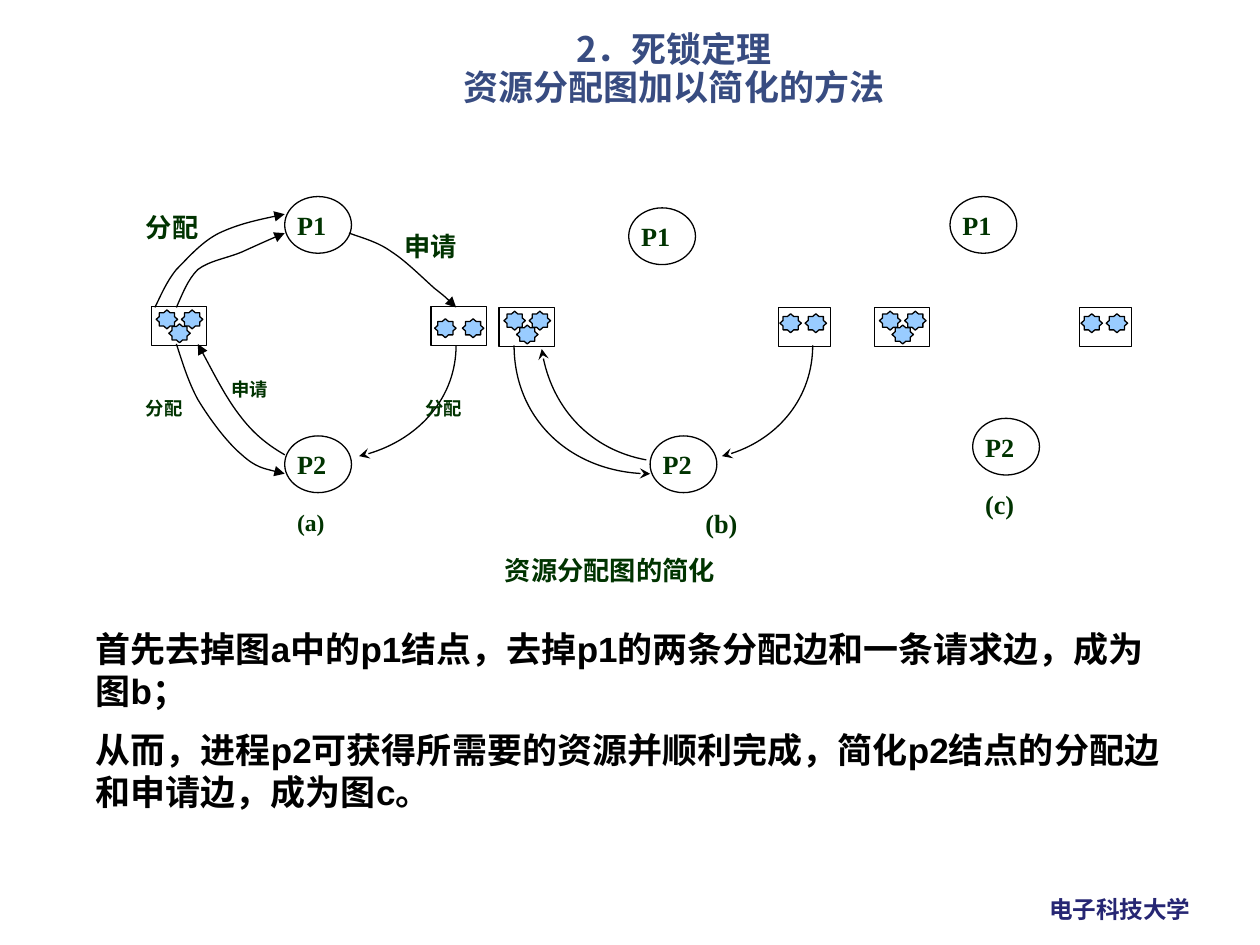
"""Build a slide that shows how a resource allocation graph is reduced."""
from dataclasses import dataclass

from lxml import etree
from pptx import Presentation
from pptx.dml.color import RGBColor
from pptx.enum.shapes import MSO_SHAPE
from pptx.enum.text import PP_ALIGN
from pptx.oxml.ns import qn
from pptx.util import Inches, Pt

RECTANGLE, OVAL, STAR = MSO_SHAPE.RECTANGLE, MSO_SHAPE.OVAL, MSO_SHAPE.STAR_8_POINT
LEFT, CENTER, JUSTIFY = PP_ALIGN.LEFT, PP_ALIGN.CENTER, PP_ALIGN.JUSTIFY


@dataclass(frozen=True)
class Theme:
    ink: str = "000000"
    label: str = "003300"
    title: str = "384C81"
    footer: str = "262673"
    unit: str = "99CCFF"
    serif: str = "Times New Roman"
    sans: str = "Arial"
    chinese: str = "Noto Sans CJK SC"
    heading_size: float = 20
    label_size: float = 15
    small_size: float = 10.5
    note_size: float = 13.5
    line_width: float = 0.75


class GraphSlide:
    def __init__(self, slide, theme):
        self.slide = slide
        self.theme = theme

    def finish(self, shape, fill=None):
        shape.shadow.inherit = False
        if fill:
            shape.fill.solid()
            shape.fill.fore_color.rgb = RGBColor.from_string(fill)
        else:
            shape.fill.background()
        shape.line.color.rgb = RGBColor.from_string(self.theme.ink)
        shape.line.width = Pt(self.theme.line_width)

    def shape(self, kind, x, y, width, height, fill=None):
        shape = self.slide.shapes.add_shape(
            kind, Inches(x), Inches(y), Inches(width), Inches(height))
        self.finish(shape, fill)
        return shape

    def text(self, x, y, width, height, paragraphs, size, color, font,
             align=LEFT, spacing=None, before=0, wrap=True):
        box = self.slide.shapes.add_textbox(
            Inches(x), Inches(y), Inches(width), Inches(height))
        frame = box.text_frame
        frame.word_wrap = wrap
        for index, lines in enumerate(paragraphs):
            paragraph = frame.add_paragraph() if index else frame.paragraphs[0]
            paragraph.alignment = align
            paragraph.line_spacing = spacing
            paragraph.space_before = Pt(before if index else 0)
            for number, line in enumerate(lines.split("\n")):
                if number:
                    paragraph.add_line_break()
                run = paragraph.add_run()
                run.text = line
                run.font.size = Pt(size)
                run.font.bold = True
                run.font.name = font
                run.font.color.rgb = RGBColor.from_string(color)
                latin = run.font._element.find(qn("a:latin"))
                latin.addnext(latin.makeelement(
                    qn("a:ea"), {"typeface": self.theme.chinese}))

    def label(self, x, y, text, size=None, width=0.85):
        self.text(x, y, width, 0.44, [text], size or self.theme.label_size,
                  self.theme.label, self.theme.serif, JUSTIFY)

    def process(self, x, y, name):
        self.shape(OVAL, x, y, 0.53, 0.45)
        self.label(x, y + 0.05, name, width=0.51)

    def resource(self, x, y, width, units):
        self.shape(RECTANGLE, x, y, width, 0.31)
        for dx, dy in units:
            star = self.shape(STAR, x + dx, y + dy, 0.17, 0.15, self.theme.unit)
            star.adjustments[0] = 0.383

    def curve(self, points, arrowhead):
        """Draw a start point and Bezier point triples, with an arrowhead at the end."""
        start, *rest = [(Inches(x), Inches(y)) for x, y in points]
        builder = self.slide.shapes.build_freeform(*start, scale=1.0)
        builder.add_line_segments(rest, close=False)
        shape = builder.convert_to_shape()
        self.finish(shape)
        lines = shape._element.xpath(".//a:lnTo")
        for first in range(0, len(lines), 3):
            triple = lines[first:first + 3]
            bezier = triple[0].makeelement(qn("a:cubicBezTo"), {})
            triple[0].addprevious(bezier)
            for line in triple:
                bezier.append(line[0])
                line.getparent().remove(line)
        outline = shape._element.xpath("./p:spPr/a:ln")[0]
        etree.SubElement(outline, qn("a:tailEnd"), type=arrowhead)


TRIO = [(0.04, 0.03), (0.24, 0.03), (0.14, 0.14)]
PAIR = [(0.01, 0.05), (0.21, 0.05)]
LOW_PAIR = [(0.03, 0.1), (0.25, 0.1)]

PROCESSES = [
    (2.26, 1.56, "P1"), (2.26, 3.46, "P2"),
    (4.99, 1.65, "P1"), (5.16, 3.46, "P2"),
    (7.54, 1.56, "P1"), (7.72, 3.32, "P2"),
]
RESOURCES = [
    (1.2, 2.43, 0.44, TRIO), (3.42, 2.43, 0.44, LOW_PAIR),
    (3.96, 2.44, 0.44, TRIO), (6.18, 2.44, 0.41, PAIR),
    (6.94, 2.44, 0.44, TRIO), (8.57, 2.44, 0.41, PAIR),
]
STEALTH_CURVES = [
    [(3.62, 2.74), (3.62, 3.15), (3.3, 3.52), (2.85, 3.62)],
    [(6.45, 2.74), (6.45, 3.15), (6.15, 3.52), (5.73, 3.62)],
    [(5.13, 3.65), (4.69, 3.57), (4.36, 3.21), (4.3, 2.77)],
    [(4.08, 2.74), (4.08, 3.31), (4.54, 3.76), (5.16, 3.76)],
]
TRIANGLE_CURVES = [
    [(2.26, 3.61), (2.14, 3.54), (2.03, 3.46), (1.92, 3.32),
     (1.8, 3.17), (1.69, 2.95), (1.57, 2.73)],
    [(1.4, 2.73), (1.45, 2.88), (1.49, 3.02), (1.57, 3.17), (1.66, 3.32),
     (1.8, 3.51), (1.92, 3.61), (2.03, 3.71), (2.14, 3.73), (2.26, 3.76)],
    [(1.23, 2.44), (1.28, 2.34), (1.32, 2.24), (1.4, 2.14), (1.49, 2.05),
     (1.6, 1.92), (1.74, 1.85), (1.89, 1.78), (2.07, 1.74), (2.26, 1.7)],
    [(1.4, 2.44), (1.45, 2.33), (1.49, 2.22), (1.57, 2.14), (1.66, 2.07),
     (1.8, 2.05), (1.92, 2), (2.03, 1.95), (2.14, 1.9), (2.26, 1.85)],
    [(2.77, 1.85), (2.88, 1.89), (3, 1.92), (3.11, 2), (3.22, 2.07),
     (3.37, 2.22), (3.45, 2.29), (3.54, 2.36), (3.58, 2.4), (3.62, 2.44)],
]
EXPLANATION = [
    "首先去掉图a中的p1结点，去掉p1的两条分配边和一条请求边，成为图b；",
    "从而，进程p2可获得所需要的资源并顺利完成，简化p2结点的分配边和申请边，成为图c。",
]


def main():
    theme = Theme()
    presentation = Presentation()
    presentation.slide_width, presentation.slide_height = Inches(10), Inches(7.5)
    slide = presentation.slides.add_slide(presentation.slide_layouts[6])
    graph = GraphSlide(slide, theme)

    graph.text(1.03, 0.21, 8.64, 0.6, ["2．死锁定理\n资源分配图加以简化的方法"],
               theme.heading_size, theme.title, theme.chinese, CENTER, spacing=0.9)
    for curve in STEALTH_CURVES:
        graph.curve(curve, "stealth")
    for curve in TRIANGLE_CURVES:
        graph.curve(curve, "triangle")
    for resource in RESOURCES:
        graph.resource(*resource)
    for process in PROCESSES:
        graph.process(*process)

    graph.label(1.06, 1.63, "分配")
    graph.label(3.11, 1.78, "申请")
    for x, y, text in [(3.28, 3.1, "分配"), (1.74, 2.95, "申请"), (1.06, 3.1, "分配")]:
        graph.label(x, y, text, theme.small_size)
    graph.label(2.26, 3.98, "(a)", theme.note_size, 0.51)
    graph.label(5.5, 3.98, "(b)")
    graph.label(7.72, 3.83, "(c)")

    graph.text(2.71, 4.35, 4.26, 0.44, ["资源分配图的简化"],
               theme.label_size, theme.label, theme.chinese, CENTER)
    graph.text(0.66, 4.93, 8.75, 1.62, EXPLANATION,
               theme.heading_size, theme.ink, theme.sans, before=10)
    graph.text(8.23, 7.05, 1.34, 0.33, ["电子科技大学"],
               theme.note_size, theme.footer, theme.chinese, wrap=False)
    presentation.save("out.pptx")


if __name__ == "__main__":
    main()
